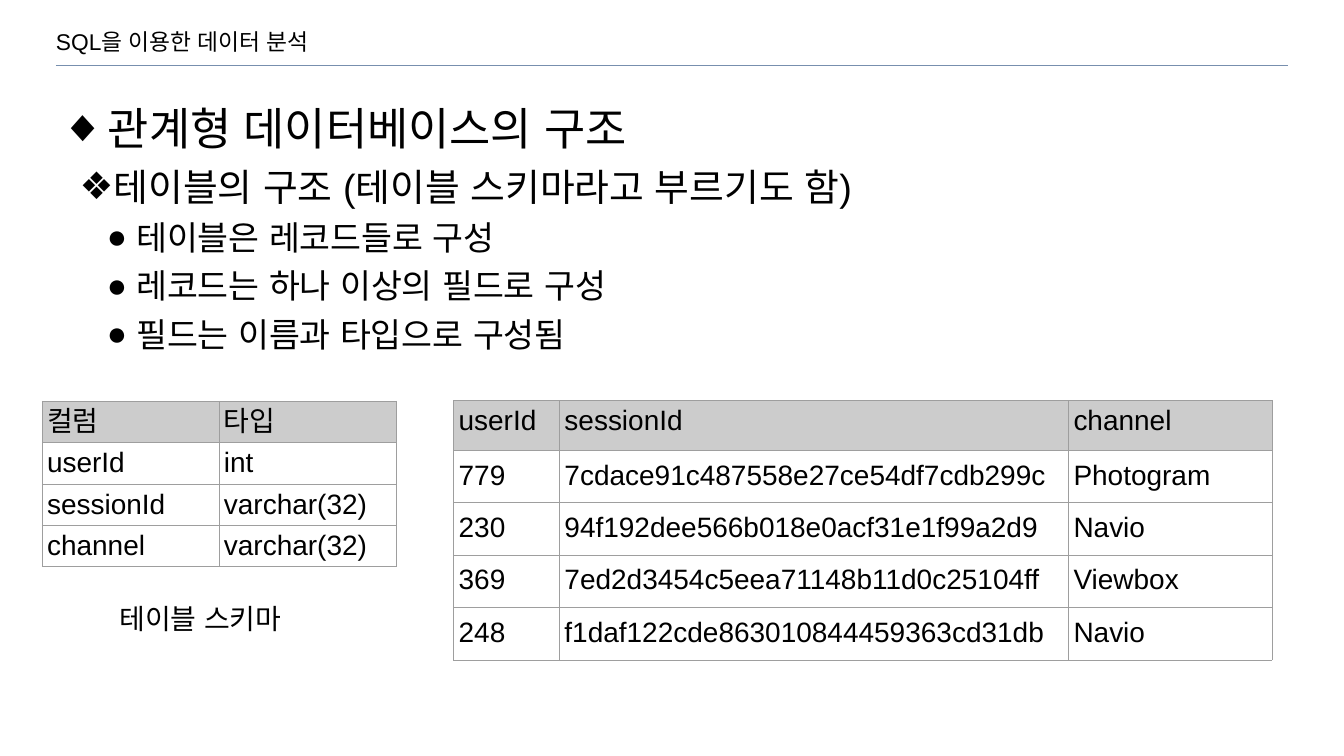
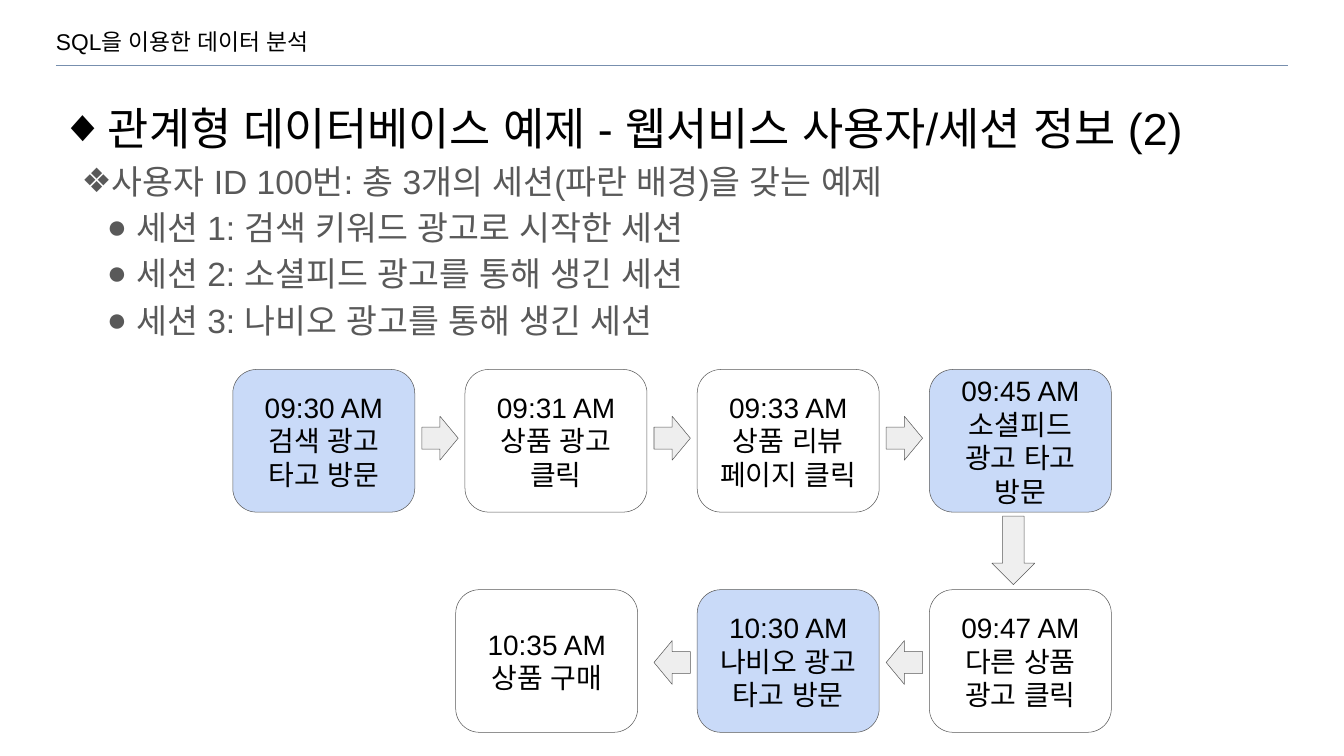
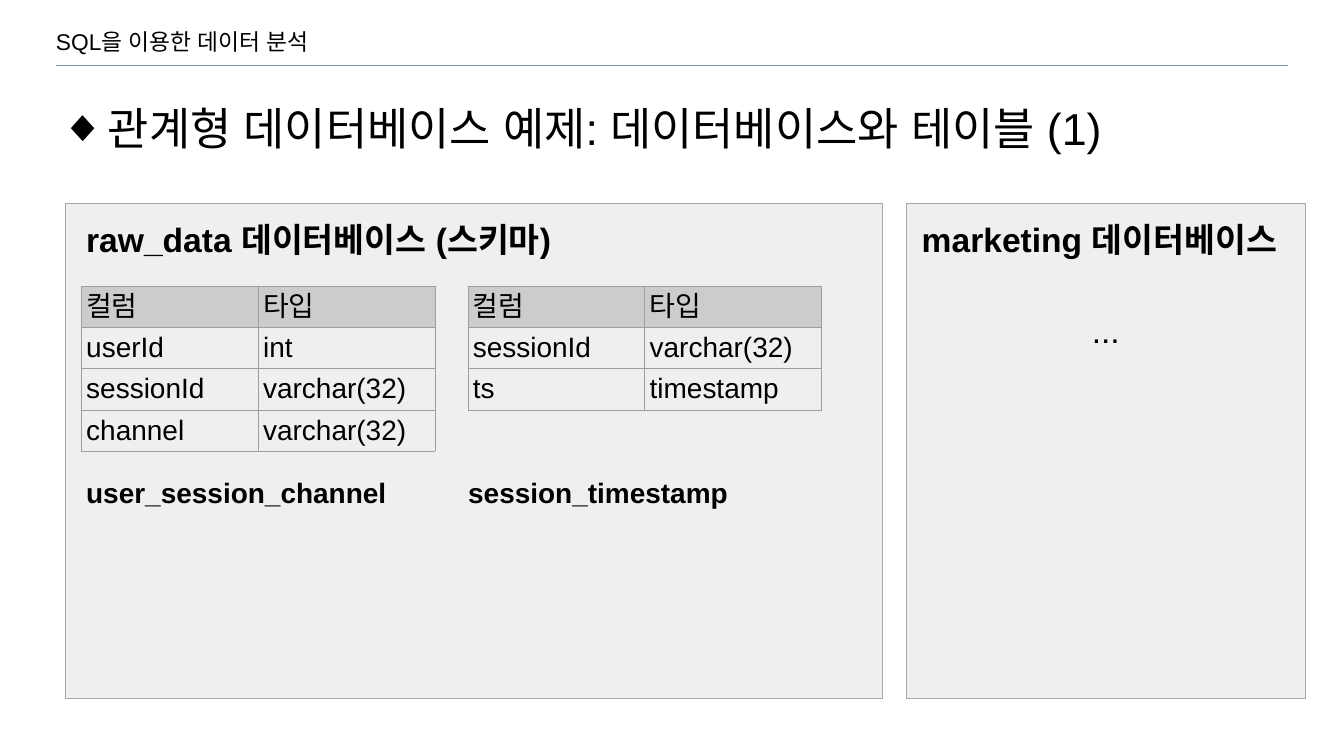
from lxml.etree import SubElement
from pptx import Presentation
from pptx.dml.color import RGBColor
from pptx.enum.shapes import MSO_CONNECTOR, MSO_SHAPE
from pptx.enum.text import MSO_ANCHOR, MSO_AUTO_SIZE, PP_ALIGN
from pptx.oxml.ns import qn
from pptx.util import Pt

COLORS = {
    "text": "000000", "muted": "595959", "rule": "778FAE",
    "header": "CCCCCC", "grid": "9E9E9E", "panel": "EFEFEF",
    "panel_line": "A7A7A7", "session": "C9DAF8", "arrow": "EEEEEE",
}
FONT = "Arial"
INSET = 7.2
THIN = Pt(0.75)


def style_text(frame, size, color="text", bold=False, align=PP_ALIGN.LEFT,
               spacing=1.0, inset=None):
    """Format every run; an inset also fixes the frame of a shape."""
    if inset is not None:
        frame.word_wrap = True
        frame.auto_size = MSO_AUTO_SIZE.NONE
        frame.margin_left = frame.margin_right = Pt(inset)
        frame.margin_top = frame.margin_bottom = Pt(inset)
    for para in frame.paragraphs:
        para.alignment = align
        para.line_spacing = spacing
        para.space_before = Pt(0)
        for span in para.runs:
            span.font.name = FONT
            span.font.size = Pt(size)
            span.font.bold = bold
            span.font.color.rgb = RGBColor.from_string(COLORS[color])
            SubElement(span.font._element, qn("a:ea"), typeface=FONT)


def add_grid(page, left, top, widths, heights, rows, spacing=1.0):
    """Add a bordered table with a grey first row."""
    holder = page.shapes.add_table(len(rows), len(widths), Pt(left), Pt(top),
                                   Pt(sum(widths)), Pt(sum(heights)))
    grid = holder.table
    grid.horz_banding = False
    for column, width in zip(grid.columns, widths):
        column.width = Pt(width)
    for row, height in zip(grid.rows, heights):
        row.height = Pt(height)
    holder.width = holder.height = Pt(236)
    for r, values in enumerate(rows):
        for c, value in enumerate(values):
            cell = grid.cell(r, c)
            cell.text_frame.text = value
            style_text(cell.text_frame, 40, spacing=spacing if r else 1.0)
            cell.margin_left = cell.margin_right = Pt(INSET)
            cell.margin_top = cell.margin_bottom = Pt(INSET)
            props = cell._tc.get_or_add_tcPr()
            for side in ("a:lnL", "a:lnR", "a:lnT", "a:lnB"):
                edge = SubElement(props, qn(side), w=str(THIN))
                paint = SubElement(edge, qn("a:solidFill"))
                SubElement(paint, qn("a:srgbClr"), val=COLORS["grid"])
            if r == 0:
                cell.fill.solid()
                cell.fill.fore_color.rgb = RGBColor.from_string(COLORS["header"])
            else:
                cell.fill.background()


deck = Presentation()
deck.slide_width, deck.slide_height = Pt(1920), Pt(1080)

# Outlines: level, text, size, colour, line spacing; then the body height
outlines = [
    (894, [
        (0, "관계형 데이터베이스의 구조", 64, "text", 1.2),
        (1, "테이블의 구조 (테이블 스키마라고 부르기도 함)", 54, "text", 1.2),
        (2, "테이블은 레코드들로 구성", 48, "text", 1.2),
        (2, "레코드는 하나 이상의 필드로 구성", 48, "text", 1.2),
        (2, "필드는 이름과 타입으로 구성됨", 48, "text", 1.2),
    ]),
    (357, [
        (0, "관계형 데이터베이스 예제 - 웹서비스 사용자/세션 정보 (2)", 64, "text", 1.2),
        (1, "사용자 ID 100번: 총 3개의 세션(파란 배경)을 갖는 예제", 48, "muted", 1.15),
        (2, "세션 1: 검색 키워드 광고로 시작한 세션", 48, "muted", 1.15),
        (2, "세션 2: 소셜피드 광고를 통해 생긴 세션", 48, "muted", 1.15),
        (2, "세션 3: 나비오 광고를 통해 생긴 세션", 48, "muted", 1.15),
    ]),
    (114, [
        (0, "관계형 데이터베이스 예제: 데이터베이스와 테이블 (1)", 64, "text", 1.2),
    ]),
]
bullets = ["◆", "❖", "●"]
text_starts = [67.7, 72, 108]

# Header, rule and outline on every page
pages = []
for body_height, lines in outlines:
    page = deck.slides.add_slide(deck.slide_layouts[1])
    pages.append(page)

    rule = page.shapes.add_connector(MSO_CONNECTOR.STRAIGHT,
                                     Pt(80), Pt(93), Pt(1840), Pt(93))
    rule.line.color.rgb = RGBColor.from_string(COLORS["rule"])
    rule.line.width = THIN
    SubElement(rule._element.spPr, qn("a:effectLst"))

    header = page.shapes.title
    header.left, header.top, header.width, header.height = Pt(80), Pt(49), Pt(1490), Pt(31)
    header.text_frame.text = "SQL을 이용한 데이터 분석"
    header.text_frame.vertical_anchor = MSO_ANCHOR.MIDDLE
    style_text(header.text_frame, 32.5, spacing=0.7, inset=0)

    body = page.placeholders[1]
    body.left, body.top, body.width, body.height = Pt(80), Pt(122), Pt(1760), Pt(body_height)
    body.text_frame.text = "\n".join(line[1] for line in lines)
    style_text(body.text_frame, 48, inset=6.5)
    for para, (level, _, size, color, spacing) in zip(body.text_frame.paragraphs, lines):
        para.level = level
        para.line_spacing = spacing
        span = para.runs[0]
        span.font.size = Pt(size)
        span.font.color.rgb = RGBColor.from_string(COLORS[color])
        hanging = 67.7 if level == 0 else 44.6 if size == 54 else 41.8
        props = para._p.get_or_add_pPr()
        props.set("marL", str(Pt(text_starts[level])))
        props.set("indent", str(-Pt(hanging)))
        tint = SubElement(props, qn("a:buClr"))
        SubElement(tint, qn("a:srgbClr"), val=COLORS[color])
        SubElement(props, qn("a:buFont"), typeface=FONT)
        SubElement(props, qn("a:buChar"), char=bullets[level])

structure, sessions, databases = pages

# Tables
channel_schema = [("컬럼", "타입"), ("userId", "int"),
                  ("sessionId", "varchar(32)"), ("channel", "varchar(32)")]
time_schema = [("컬럼", "타입"), ("sessionId", "varchar(32)"), ("ts", "timestamp")]
records = [
    ("userId", "sessionId", "channel"),
    ("779", "7cdace91c487558e27ce54df7cdb299c", "Photogram"),
    ("230", "94f192dee566b018e0acf31e1f99a2d9", "Navio"),
    ("369", "7ed2d3454c5eea71148b11d0c25104ff", "Viewbox"),
    ("248", "f1daf122cde863010844459363cd31db", "Navio"),
]
schema_widths = [252.7, 252.7]
add_grid(structure, 60, 573, schema_widths, [0.72] * 4, channel_schema)
add_grid(structure, 648, 572.4, [151.2, 727.2, 290.9], [70.6] + [74.9] * 4,
         records, spacing=1.15)

# Session flow: column, row, time, action, whether it starts a session
steps = [
    (0, 0, "09:30 AM", "검색 광고 타고 방문", True),
    (1, 0, "09:31 AM", "상품 광고 클릭", False),
    (2, 0, "09:33 AM", "상품 리뷰 페이지 클릭", False),
    (3, 0, "09:45 AM", "소셜피드 광고 타고 방문", True),
    (3, 1, "09:47 AM", "다른 상품\n광고 클릭", False),
    (2, 1, "10:30 AM", "나비오 광고 타고 방문", True),
    (1, 1, "10:35 AM", "상품 구매", False),
]
flow_left, flow_step = 332.6, 331.7
row_tops = [527.8, 842.4]
for column, row, time, action, starts in steps:
    left = flow_left + flow_step * column
    if (column, row) == (1, 1):
        left = 651
    card = sessions.shapes.add_shape(MSO_SHAPE.ROUNDED_RECTANGLE, Pt(left),
                                     Pt(row_tops[row]), Pt(260), Pt(203.8))
    card.shadow.inherit = False
    if starts:
        card.fill.solid()
        card.fill.fore_color.rgb = RGBColor.from_string(COLORS["session"])
    else:
        card.fill.background()
    card.line.color.rgb = RGBColor.from_string(COLORS["muted"])
    card.line.width = THIN
    card.text_frame.text = f"{time}\n{action}"
    card.text_frame.vertical_anchor = MSO_ANCHOR.MIDDLE
    style_text(card.text_frame, 40, align=PP_ALIGN.CENTER, inset=INSET)

# Arrows between the steps
arrows = [(MSO_SHAPE.RIGHT_ARROW, flow_left + flow_step * i + 270, 594.7, 52, 62.6, "arrow")
          for i in range(3)]
arrows += [(MSO_SHAPE.LEFT_ARROW, flow_left + flow_step * i + 270, 915.1, 52, 62.6, "arrow")
           for i in (2, 1)]
arrows.append((MSO_SHAPE.DOWN_ARROW, 1417, 737.3, 61.2, 97.9, "panel"))
for kind, left, top, width, height, fill in arrows:
    arrow = sessions.shapes.add_shape(kind, Pt(left), Pt(top), Pt(width), Pt(height))
    arrow.shadow.inherit = False
    arrow.fill.solid()
    arrow.fill.fore_color.rgb = RGBColor.from_string(COLORS[fill])
    arrow.line.color.rgb = RGBColor.from_string(COLORS["muted"])
    arrow.line.width = THIN

# Database panels and their tables
for left, width in [(93.6, 1167), (1294.6, 569.5)]:
    panel = databases.shapes.add_shape(MSO_SHAPE.RECTANGLE, Pt(left), Pt(290.2),
                                       Pt(width), Pt(707))
    panel.shadow.inherit = False
    panel.fill.solid()
    panel.fill.fore_color.rgb = RGBColor.from_string(COLORS["panel"])
    panel.line.color.rgb = RGBColor.from_string(COLORS["panel_line"])
    panel.line.width = THIN
add_grid(databases, 116, 408.2, schema_widths, [30.2] * 4, channel_schema)
add_grid(databases, 668.2, 408.2, schema_widths, [30.2] * 3, time_schema)

# Captions: page, text, left, top, width, height, size, bold, alignment
captions = [
    (structure, "테이블 스키마", 163.4, 852.5, 279.4, 63.4, 40, False, PP_ALIGN.LEFT),
    (databases, "raw_data 데이터베이스 (스키마)", 116, 306, 804, 72.7, 48, True, PP_ALIGN.LEFT),
    (databases, "marketing 데이터베이스", 1309.7, 306, 540, 72.7, 48, True, PP_ALIGN.LEFT),
    (databases, "user_session_channel", 116, 671.8, 540, 63.4, 40, True, PP_ALIGN.LEFT),
    (databases, "session_timestamp", 661.7, 671.8, 540, 63.4, 40, True, PP_ALIGN.LEFT),
    (databases, "...", 1374.5, 434.9, 410.4, 72.7, 48, False, PP_ALIGN.CENTER),
]
for page, text, left, top, width, height, size, bold, align in captions:
    box = page.shapes.add_textbox(Pt(left), Pt(top), Pt(width), Pt(height))
    box.text_frame.text = text
    style_text(box.text_frame, size, bold=bold, align=align, inset=INSET)

deck.save("out.pptx")
